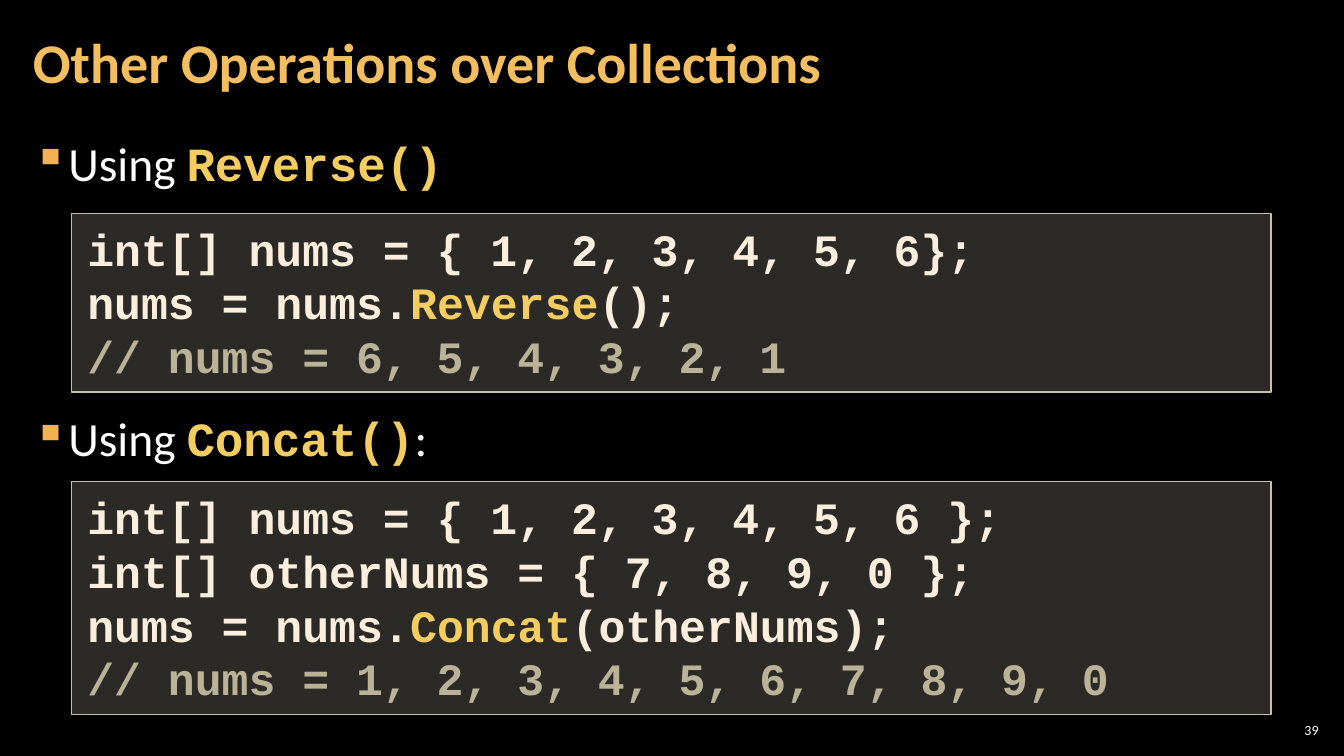
from dataclasses import dataclass

from lxml import etree
from pptx import Presentation
from pptx.dml.color import RGBColor
from pptx.enum import shapes, text
from pptx.oxml import ns
from pptx.util import Cm, Pt


@dataclass(frozen=True)
class Theme:
    background: str = "000000"
    plain: str = "FFFFFF"
    title: str = "F3BE60"
    bullet: str = "F2B254"
    keyword: str = "F3CD60"
    code: str = "FBEEDC"
    comment: str = "BAB398"
    panel: str = "D9D5C7"
    panel_line: str = "C7BFAC"
    panel_opacity: int = 20
    body_font: str = "Calibri"
    code_font: str = "Courier New"
    title_size: int = 40
    bullet_size: int = 34
    code_size: int = 32
    number_size: int = 10


THEME = Theme()
REVERSE_CODE = [
    [("int[] nums = { 1, 2, 3, 4, 5, 6};", THEME.code)],
    [("nums = nums.", THEME.code), ("Reverse", THEME.keyword), ("();", THEME.code)],
    [("// nums = 6, 5, 4, 3, 2, 1", THEME.comment)],
]
CONCAT_CODE = [
    [("int[] nums = { 1, 2, 3, 4, 5, 6 };", THEME.code)],
    [("int[] otherNums = { 7, 8, 9, 0 };", THEME.code)],
    [("nums = nums.", THEME.code), ("Concat", THEME.keyword),
     ("(otherNums);", THEME.code)],
    [("// nums = 1, 2, 3, 4, 5, 6, 7, 8, 9, 0", THEME.comment)],
]


def add_text(paragraph, words, *, size, color=THEME.plain, font=THEME.body_font,
             bold=False):
    run = paragraph.add_run()
    run.text = words
    run.font.name = font
    run.font.size = Pt(size)
    run.font.bold = bold
    run.font.color.rgb = RGBColor.from_string(color)


def set_frame(frame, side, top, anchor=text.MSO_ANCHOR.TOP,
              fit=text.MSO_AUTO_SIZE.NONE):
    """Set wrapping, insets in centimetres, anchor and fitting."""
    frame.word_wrap = True
    frame.auto_size = fit
    frame.vertical_anchor = anchor
    frame.margin_left = frame.margin_right = Cm(side)
    frame.margin_top = frame.margin_bottom = Cm(top)


def paragraph_at(frame, index):
    return frame.paragraphs[0] if index == 0 else frame.add_paragraph()


def add_title(slide, words):
    title = slide.shapes.title
    title.left, title.top, title.width, title.height = (
        Cm(0.53), Cm(0.1), Cm(26.6), Cm(3.07))
    set_frame(title.text_frame, 0.3, 0.1, text.MSO_ANCHOR.MIDDLE)
    heading = title.text_frame.paragraphs[0]
    heading.alignment = text.PP_ALIGN.LEFT
    heading.line_spacing = 0.9
    add_text(heading, words, size=THEME.title_size, color=THEME.title, bold=True)


def set_bullet(paragraph):
    properties = paragraph._p.get_or_add_pPr()
    properties.set("marL", str(Cm(0.84)))
    properties.set("indent", str(-Cm(0.84)))
    color = etree.SubElement(properties, ns.qn("a:buClr"))
    etree.SubElement(color, ns.qn("a:srgbClr"), val=THEME.bullet)
    etree.SubElement(properties, ns.qn("a:buChar"), char="▪")


def add_topics(slide, topics):
    """Add bullets given as (method, ending, points of space before)."""
    box = slide.shapes.add_textbox(Cm(0.53), Cm(3.2), Cm(32.8), Cm(15.47))
    set_frame(box.text_frame, 0.3, 0.1)
    for index, (method, ending, space) in enumerate(topics):
        topic = paragraph_at(box.text_frame, index)
        topic.line_spacing = 1.05
        topic.space_before = Pt(space)
        topic.space_after = Pt(6)
        set_bullet(topic)
        add_text(topic, "Using ", size=THEME.bullet_size)
        add_text(topic, method, size=THEME.bullet_size, color=THEME.keyword,
                 font=THEME.code_font, bold=True)
        if ending:
            add_text(topic, ending, size=THEME.bullet_size)


def add_code_panel(slide, top, height, lines):
    panel = slide.shapes.add_shape(
        shapes.MSO_SHAPE.RECTANGLE, Cm(1.8), Cm(top), Cm(30.23), Cm(height))
    panel.shadow.inherit = False
    panel.fill.solid()
    panel.fill.fore_color.rgb = RGBColor.from_string(THEME.panel)
    fill_color = panel._element.spPr.find(ns.qn("a:solidFill"))[0]
    etree.SubElement(fill_color, ns.qn("a:alpha"), val=str(THEME.panel_opacity * 1000))
    panel.line.color.rgb = RGBColor.from_string(THEME.panel_line)
    panel.line.width = Pt(1)
    set_frame(panel.text_frame, 0.4, 0.2, fit=text.MSO_AUTO_SIZE.SHAPE_TO_FIT_TEXT)
    for index, pieces in enumerate(lines):
        line = paragraph_at(panel.text_frame, index)
        line.alignment = text.PP_ALIGN.LEFT
        for words, color in pieces:
            add_text(line, words, size=THEME.code_size, color=color,
                     font=THEME.code_font, bold=True)


def add_page_number(slide, number):
    box = slide.shapes.add_textbox(Cm(32.13), Cm(18.14), Cm(1.2), Cm(0.53))
    set_frame(box.text_frame, 0.1, 0.1, text.MSO_ANCHOR.MIDDLE)
    page = box.text_frame.paragraphs[0]
    page.alignment = text.PP_ALIGN.RIGHT
    add_text(page, number, size=THEME.number_size)


def main():
    deck = Presentation()
    deck.slide_width, deck.slide_height = Cm(33.87), Cm(19.05)
    slide = deck.slides.add_slide(deck.slide_layouts.get_by_name("Title Only"))
    slide.background.fill.solid()
    slide.background.fill.fore_color.rgb = RGBColor.from_string(THEME.background)

    add_page_number(slide, "39")
    add_title(slide, "Other Operations over Collections")
    add_topics(slide, [("Reverse()", "", 6), ("Concat()", ":", 148)])
    add_code_panel(slide, 5.38, 4.5, REVERSE_CODE)
    add_code_panel(slide, 12.14, 5.87, CONCAT_CODE)
    deck.save("out.pptx")


if __name__ == "__main__":
    main()
